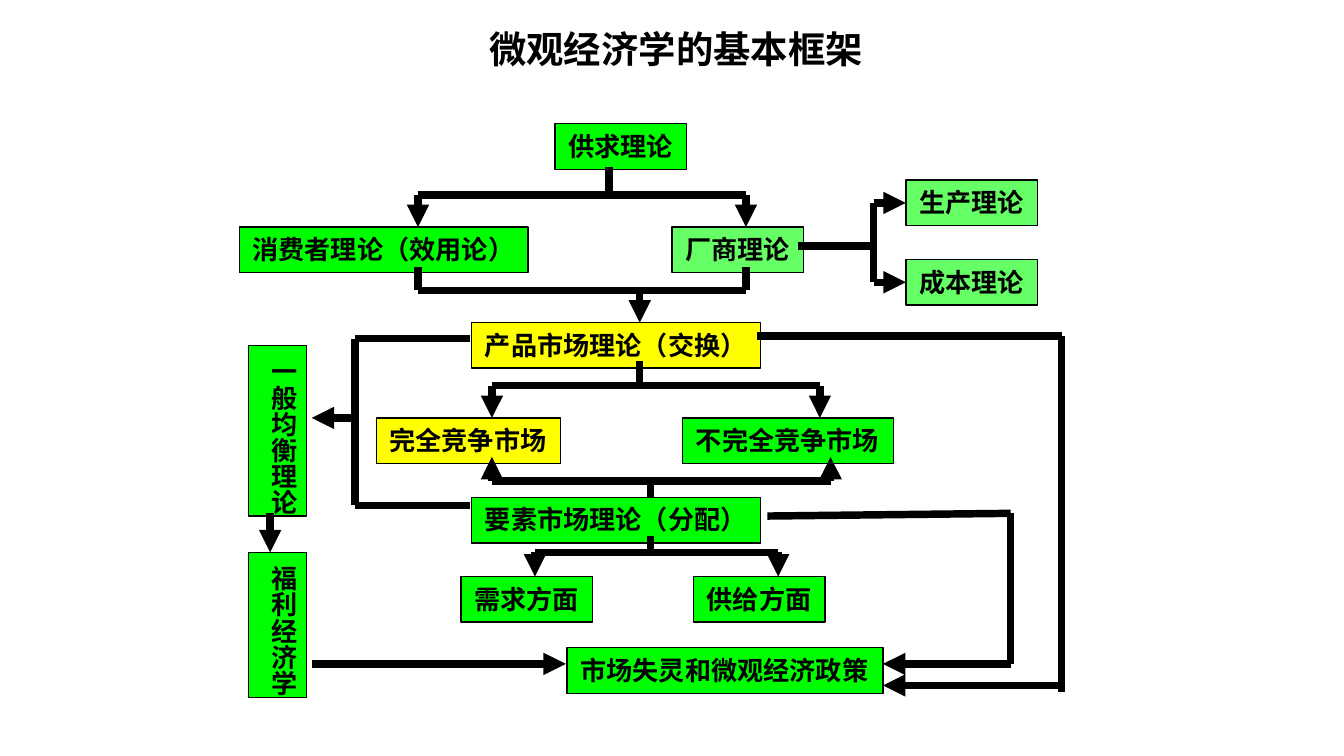
"""Build a one-slide framework diagram of microeconomics."""
from itertools import pairwise

from lxml import etree
from pptx import Presentation
from pptx.dml.color import RGBColor
from pptx.enum.shapes import MSO_CONNECTOR
from pptx.enum.text import MSO_ANCHOR, MSO_AUTO_SIZE, PP_ALIGN
from pptx.oxml.ns import qn
from pptx.util import Pt

PX = 9144
SLIDE_WIDTH = 1000 * PX
SLIDE_HEIGHT = SLIDE_WIDTH * 9 // 16
STRAIGHT = MSO_CONNECTOR.STRAIGHT
TOP, MIDDLE = MSO_ANCHOR.TOP, MSO_ANCHOR.MIDDLE
FIT_SHAPE, NO_FIT = MSO_AUTO_SIZE.SHAPE_TO_FIT_TEXT, MSO_AUTO_SIZE.NONE
LEFT, CENTER = PP_ALIGN.LEFT, PP_ALIGN.CENTER
LEFT_SIDE = 1

BLACK = RGBColor(0x00, 0x00, 0x00)
GREEN = RGBColor(0x00, 0xFF, 0x00)
LIGHT_GREEN = RGBColor(0x66, 0xFF, 0x66)
YELLOW = RGBColor(0xFF, 0xFF, 0x00)
CJK_FONT = "Noto Sans CJK SC"
TITLE_FONT = {"name": CJK_FONT, "size": Pt(20), "bold": True}
THEORY_FONT = {"name": "Calibri", "size": Pt(14), "bold": True}

ROW_HEIGHT = 34
COLUMN_WIDTH = 43
THEORIES = [
    ("供求理论", 413, 92, 98, GREEN),
    ("厂商理论", 500, 169, 98, LIGHT_GREEN),
    ("产品市场理论（交换）", 351, 240, 215, YELLOW),
    ("消费者理论（效用论）", 178, 169, 215, GREEN),
    ("不完全竞争市场", 508, 311, 157, GREEN),
    ("完全竞争市场", 280, 311, 137, YELLOW),
    ("要素市场理论（分配）", 351, 370, 215, GREEN),
    ("需求方面", 343, 429, 98, GREEN),
    ("供给方面", 516, 429, 98, GREEN),
    ("市场失灵和微观经济政策", 422, 482, 235, GREEN),
]
FIRM_THEORIES = [("生产理论", 134), ("成本理论", 193)]
VERTICAL_THEORIES = [("一般均衡理论", 257, 127), ("福利经济学", 411, 108)]

FORKS = [
    (453, 124, 145, 311, 555, 169),
    (476, 269, 287, 366, 610, 311),
    (484, 370, 358, 366, 618, 340),
    (484, 399, 411, 398, 579, 429),
]
PLAIN_ROUTES = [
    [(311, 199), (311, 216), (555, 216), (555, 199)],
    [(594, 183), (650, 183)],
    [(650, 151), (650, 210)],
    [(350, 252), (264, 252), (264, 376), (350, 376)],
    [(563, 250), (790, 250), (790, 515)],
]
ARROW_ROUTES = [
    [(476, 216), (476, 240)],
    [(264, 311), (232, 311)],
    [(201, 382), (201, 411)],
    [(232, 494), (421, 494)],
    [(790, 510), (657, 510)],
    [(571, 384), (752, 382), (752, 494), (657, 494)],
]


def px(*lengths):
    return [length * PX for length in lengths]


def apply(target, values):
    for key, value in values.items():
        setattr(target, key, value)


def write(frame, text, font, alignment):
    paragraph = frame.paragraphs[0]
    paragraph.alignment = alignment
    run = paragraph.add_run()
    run.text = text
    apply(run.font, font)
    run.font.color.rgb = BLACK
    east_asian = etree.SubElement(run.font._element, qn("a:ea"))
    east_asian.set("typeface", CJK_FONT)


def add_title(slide, text):
    title = slide.shapes.title
    apply(title, dict(zip(("left", "top", "width", "height"), px(50, 15, 900, 42))))
    apply(title.text_frame, {"vertical_anchor": MIDDLE, "auto_size": NO_FIT})
    write(title.text_frame, text, TITLE_FONT, CENTER)


def add_theory(slide, text, left, top, width, color, height=ROW_HEIGHT, vertical=False):
    theory = slide.shapes.add_textbox(*px(left, top, width, height))
    theory.fill.solid()
    theory.fill.fore_color.rgb = color
    theory.line.color.rgb = BLACK
    theory.line.width = Pt(0.75)
    side, end = px(5, 10) if vertical else px(10, 5)
    frame = theory.text_frame
    apply(frame, {
        "margin_left": side, "margin_right": side,
        "margin_top": end, "margin_bottom": end,
        "vertical_anchor": TOP, "word_wrap": False, "auto_size": FIT_SHAPE,
    })
    if vertical:
        frame._txBody.bodyPr.set("vert", "eaVert")
    write(frame, text, THEORY_FONT, LEFT)
    return theory


def add_link(slide, start, end, arrow=False):
    link = slide.shapes.add_connector(STRAIGHT, *px(*start, *end))
    link.line.color.rgb = BLACK
    link.line.width = Pt(4)
    if arrow:
        head = etree.SubElement(link.line._get_or_add_ln(), qn("a:tailEnd"))
        head.set("type", "triangle")
    etree.SubElement(link._element.spPr, qn("a:effectLst"))
    return link


def add_route(slide, points, arrow=False):
    for start, end in pairwise(points):
        add_link(slide, start, end, arrow and end == points[-1])


def add_fork(slide, stem_x, stem_y, bar_y, left, right, tip_y):
    add_link(slide, (stem_x, stem_y), (stem_x, bar_y))
    add_link(slide, (left, bar_y), (right, bar_y))
    for x in (left, right):
        add_link(slide, (x, bar_y), (x, tip_y), arrow=True)


def main():
    presentation = Presentation()
    apply(presentation, {"slide_width": SLIDE_WIDTH, "slide_height": SLIDE_HEIGHT})
    slide = presentation.slides.add_slide(presentation.slide_layouts[5])
    add_title(slide, " 微观经济学的基本框架")
    for theory in THEORIES:
        add_theory(slide, *theory)
    for text, top, height in VERTICAL_THEORIES:
        add_theory(slide, text, 185, top, COLUMN_WIDTH, GREEN, height, vertical=True)
    for text, top in FIRM_THEORIES:
        theory = add_theory(slide, text, 674, top, 98, LIGHT_GREEN)
        middle = top + ROW_HEIGHT // 2
        branch = add_link(slide, (650, middle), (674, middle), arrow=True)
        branch.end_connect(theory, LEFT_SIDE)
    for fork in FORKS:
        add_fork(slide, *fork)
    for points in PLAIN_ROUTES:
        add_route(slide, points)
    for points in ARROW_ROUTES:
        add_route(slide, points, arrow=True)
    presentation.save("out.pptx")


if __name__ == "__main__":
    main()
